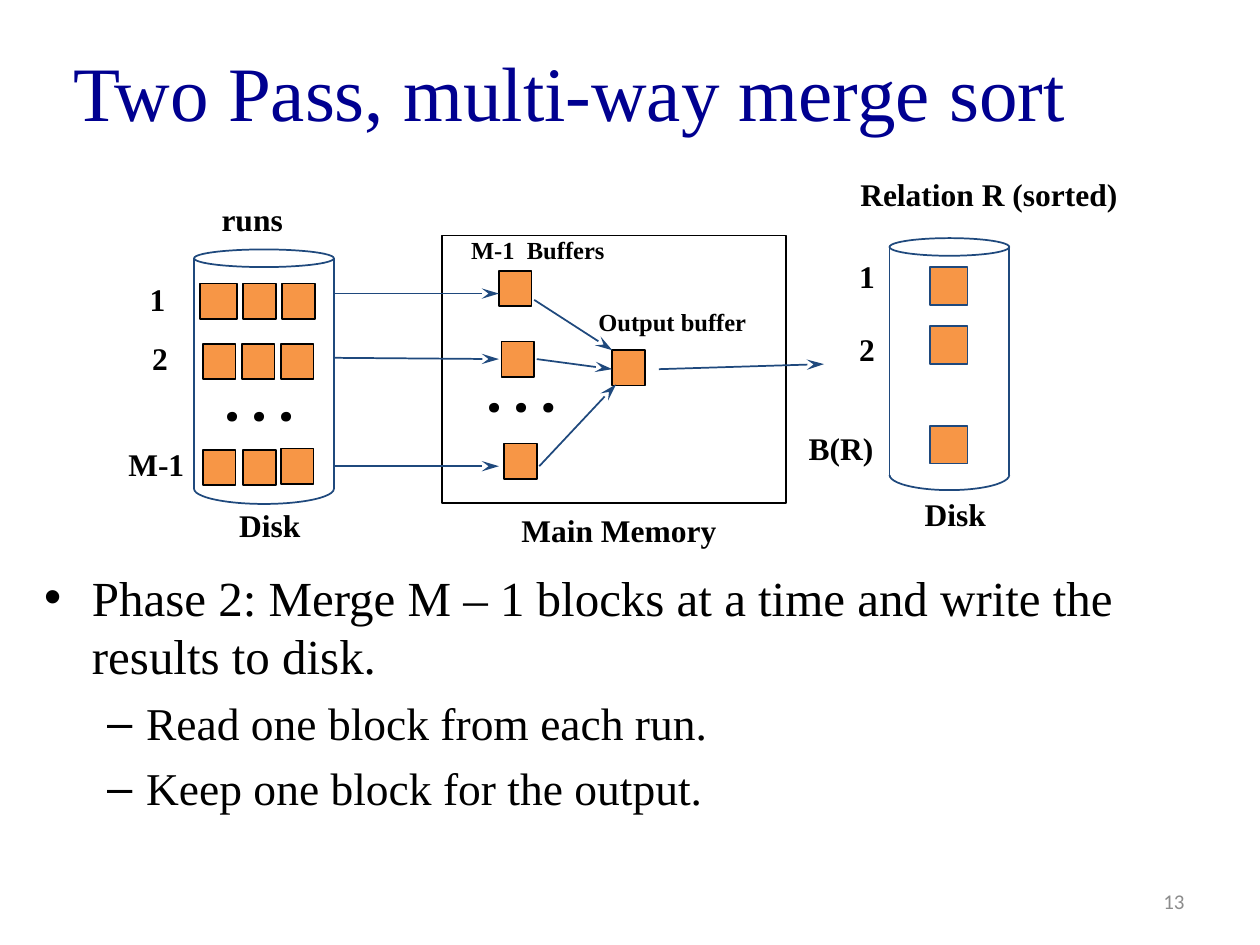
"""Build the slide on the merge phase of a two pass, multi-way merge sort."""
from dataclasses import dataclass

import pptx
import pptx.dml.color
import pptx.enum.shapes
import pptx.enum.text
import pptx.oxml
import pptx.oxml.ns
import pptx.util
from pptx.util import Inches


@dataclass
class Theme:
    serif: str = "Times New Roman"
    sans: str = "Calibri"
    dots: str = "Vollkorn"
    title: str = "000090"
    ink: str = "000000"
    muted: str = "8C8C8C"
    outline: str = "1F497D"
    block: str = "F79646"
    title_size: int = 44
    dots_size: int = 32
    label_size: int = 18
    small_size: int = 14
    number_size: int = 12
    line_width: int = 1


THEME = Theme()
SHAPES = pptx.enum.shapes.MSO_SHAPE
ANCHORS = pptx.enum.text.MSO_ANCHOR
ALIGN = pptx.enum.text.PP_ALIGN

TITLE = "Two Pass, multi-way merge sort"
BULLETS = [
    ("Phase 2: Merge M – 1 blocks at a time and write the results to disk.", 0, 28),
    ("Read one block from each run.", 1, 26),
    ("Keep one block for the output.", 1, 26),
]
INDENTS = [(0.38, -0.38), (0.81, -0.31)]

LABELS = [
    ("Disk", 1.8, 3.97, 0.69), ("runs", 1.66, 1.54, 0.69),
    ("1", 1.09, 2.17, 0.33), ("2", 1.11, 2.64, 0.33), ("M-1", 0.92, 3.48, 0.65),
    ("Main Memory", 4.04, 4.01, 1.77),
    ("Disk", 7.24, 3.88, 0.69), ("Relation R (sorted)", 6.73, 1.34, 2.26),
    ("1", 6.72, 1.99, 0.33), ("2", 6.72, 2.57, 0.33), ("B(R)", 6.32, 3.36, 0.72),
]
BUFFER_LABELS = [("M-1  Buffers", 3.64, 1.82, 1.27), ("Output buffer", 4.65, 2.39, 1.38)]
ELLIPSES = [(1.68, 2.85), (3.76, 2.78)]

DISKS = [(1.54, 1.98, 1.11, 3.88), (7.06, 1.89, 0.95, 3.77)]
MEMORY = (3.51, 1.87, 2.73, 2.12)
RUN_BLOCKS = [
    (1.59, 2.25, 0.29), (1.93, 2.25, 0.26), (2.24, 2.25, 0.26),
    (1.61, 2.73, 0.26), (1.92, 2.73, 0.26), (2.23, 2.73, 0.26),
    (1.61, 3.57, 0.26), (1.93, 3.57, 0.26), (2.23, 3.56, 0.26),
]
BUFFERS = [(3.96, 2.15, 0.26), (3.98, 2.71, 0.26), (4, 3.52, 0.26), (4.86, 2.78, 0.26)]
SORTED_TOPS = [2.12, 2.59, 3.38]
ARROWS = [
    (2.65, 2.33, 3.96, 2.33), (2.65, 2.84, 3.96, 2.85), (2.65, 3.7, 3.96, 3.7),
    (4.24, 2.38, 4.86, 2.78), (4.28, 3.7, 4.89, 3.05), (4.26, 2.85, 4.86, 2.93),
    (5.23, 2.93, 6.54, 2.89),
]


def rgb(value):
    return pptx.dml.color.RGBColor.from_string(value)


def style(para, size, color=THEME.ink, font=THEME.serif, bold=False):
    for span in para.runs:
        span.font.size = pptx.util.Pt(size)
        span.font.name = font
        span.font.bold = bold
        span.font.color.rgb = rgb(color)


def place(shape, left, top, width, height):
    shape.left, shape.top = Inches(left), Inches(top)
    shape.width, shape.height = Inches(width), Inches(height)


def add_label(page, text, left, top, width, height, size, font=THEME.serif):
    box = page.shapes.add_textbox(*map(Inches, (left, top, width, height)))
    box.text_frame.word_wrap = False
    box.text_frame.text = text
    style(box.text_frame.paragraphs[0], size, font=font, bold=True)


def add_outline(page, kind, left, top, width, height, line, fill=None):
    shape = page.shapes.add_shape(kind, *map(Inches, (left, top, width, height)))
    shape.shadow.inherit = False
    if fill:
        shape.fill.solid()
        shape.fill.fore_color.rgb = rgb(fill)
    else:
        shape.fill.background()
    shape.line.color.rgb = rgb(line)
    shape.line.width = pptx.util.Pt(THEME.line_width)
    return shape


def add_line(page, x1, y1, x2, y2, arrow=False):
    straight = pptx.enum.shapes.MSO_CONNECTOR.STRAIGHT
    line = page.shapes.add_connector(straight, *map(Inches, (x1, y1, x2, y2)))
    line.line.color.rgb = rgb(THEME.outline)
    line.line.width = pptx.util.Pt(THEME.line_width)
    namespace = pptx.oxml.ns.nsdecls("a")
    if arrow:
        head = f'<a:tailEnd {namespace} type="stealth" w="med" len="lg"/>'
        line.line._get_or_add_ln().append(pptx.oxml.parse_xml(head))
    line._element.spPr.append(pptx.oxml.parse_xml(f"<a:effectLst {namespace}/>"))


def add_disk(page, left, top, width, bottom):
    rim, base = 0.14, 0.24
    add_outline(page, SHAPES.OVAL, left, top, width, rim, THEME.outline)
    for side in (left, left + width):
        add_line(page, side, top + rim / 2, side, bottom)
    arc = add_outline(page, SHAPES.ARC, left, bottom - base / 2, width, base, THEME.outline)
    arc.adjustments[0] = 0
    arc.adjustments[1] = 108


def fill_placeholders(page):
    title, body = page.shapes.title, page.placeholders[1]
    place(title, 0.48, 0.18, 9.2, 1.08)
    title.text_frame.text = TITLE
    title.text_frame.vertical_anchor = ANCHORS.MIDDLE
    title.text_frame.paragraphs[0].alignment = ALIGN.LEFT
    style(title.text_frame.paragraphs[0], THEME.title_size, THEME.title)
    place(body, 0.25, 4.45, 9.55, 2.4)
    frame = body.text_frame
    frame.auto_size = pptx.enum.text.MSO_AUTO_SIZE.NONE
    frame.text = "\n".join(text for text, level, size in BULLETS)
    for para, (text, level, size) in zip(frame.paragraphs, BULLETS):
        para.level = level
        para.space_before = pptx.util.Pt(6 if level else 0)
        margin, indent = INDENTS[level]
        properties = para._p.get_or_add_pPr()
        properties.set("marL", str(Inches(margin)))
        properties.set("indent", str(Inches(indent)))
        style(para, size)


def add_page_number(page):
    box = page.shapes.add_textbox(*map(Inches, (7.17, 6.95, 2.33, 0.4)))
    box.text_frame.word_wrap = True
    box.text_frame.vertical_anchor = ANCHORS.MIDDLE
    box.text_frame.text = "13"
    para = box.text_frame.paragraphs[0]
    para.alignment = ALIGN.RIGHT
    style(para, THEME.number_size, THEME.muted, THEME.sans)


deck = pptx.Presentation()
deck.slide_width, deck.slide_height = Inches(10), Inches(7.5)
page = deck.slides.add_slide(deck.slide_layouts[1])
fill_placeholders(page)
add_page_number(page)
add_outline(page, SHAPES.RECTANGLE, *MEMORY, THEME.ink)
for disk in DISKS:
    add_disk(page, *disk)
for block in RUN_BLOCKS + BUFFERS:
    add_outline(page, SHAPES.RECTANGLE, *block, 0.28, THEME.ink, THEME.block)
for top in SORTED_TOPS:
    add_outline(page, SHAPES.RECTANGLE, 7.38, top, 0.3, 0.3, THEME.outline, THEME.block)
for arrow in ARROWS:
    add_line(page, *arrow, arrow=True)
for label in LABELS:
    add_label(page, *label, 0.4, THEME.label_size)
for label in BUFFER_LABELS:
    add_label(page, *label, 0.34, THEME.small_size)
for left, top in ELLIPSES:
    add_label(page, ". . .", left, top, 0.76, 0.64, THEME.dots_size, THEME.dots)
deck.save("out.pptx")
